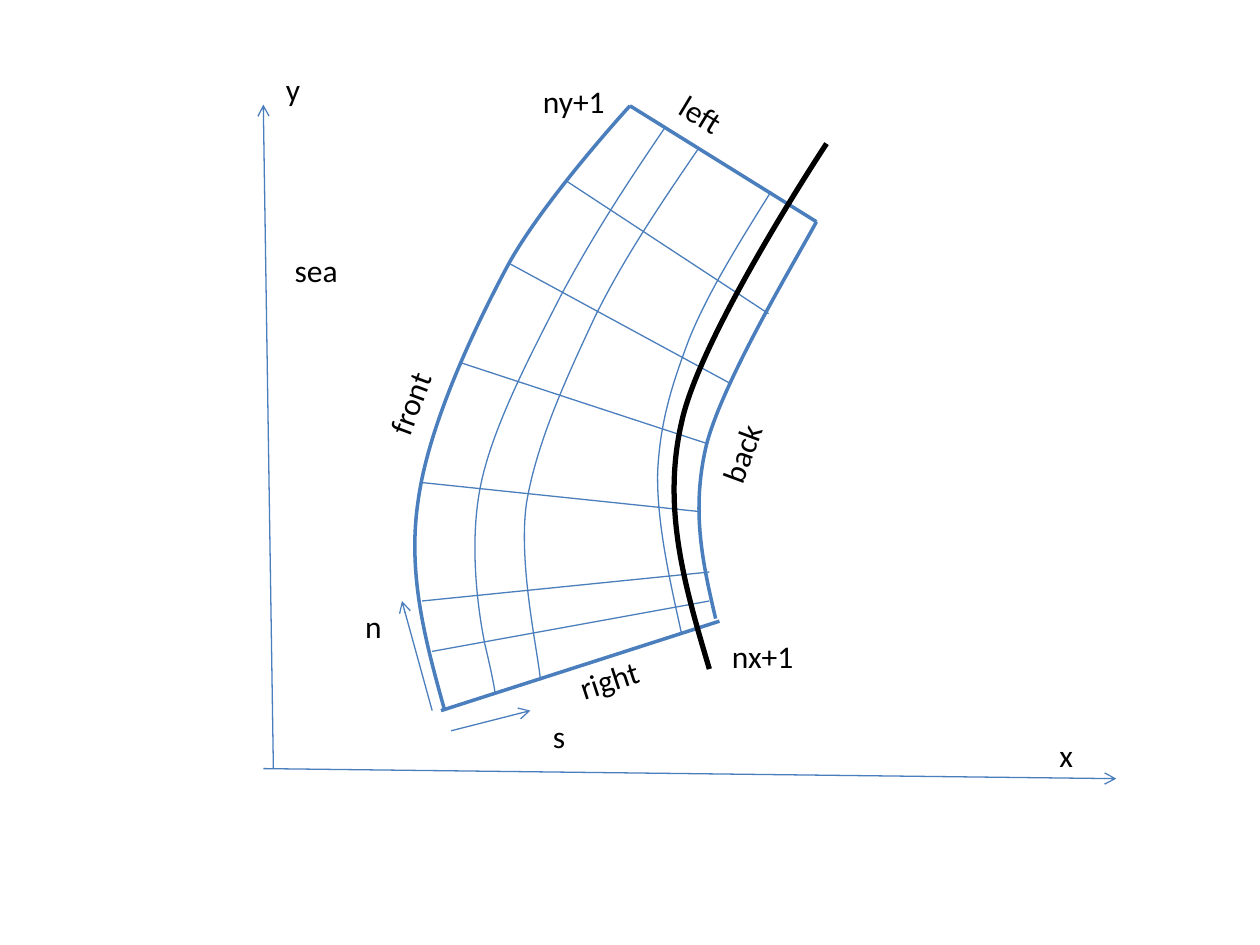
from lxml import etree
from pptx import Presentation
from pptx.dml.color import RGBColor
from pptx.enum.shapes import MSO_CONNECTOR
from pptx.enum.text import MSO_AUTO_SIZE
from pptx.oxml.ns import qn
from pptx.util import Inches, Pt

BLUE = RGBColor(0x4B, 0x7E, 0xBC)
BLACK = RGBColor(0, 0, 0)
THIN, EDGE, COAST = 0.75, 2, 3

prs = Presentation()
prs.slide_width, prs.slide_height = Inches(10), Inches(7.5)
slide = prs.slides.add_slide(prs.slide_layouts[6])
shapes = slide.shapes.add_group_shape().shapes


def add_line(start, end, width, arrow=False):
    x1, y1, x2, y2 = [Inches(v) for v in start + end]
    line = shapes.add_connector(MSO_CONNECTOR.STRAIGHT, x1, y1, x2, y2)
    line.line.color.rgb = BLUE
    line.line.width = Pt(width)
    if arrow:
        etree.SubElement(line.line._get_or_add_ln(), qn("a:tailEnd"), type="arrow")
    etree.SubElement(line._element.spPr, qn("a:effectLst"))


def add_curve(points, color, width):
    """Draw a Bezier curve: a start, then two controls and an end per segment."""
    pts = [(Inches(x), Inches(y)) for x, y in points]
    builder = shapes.build_freeform(*pts[0])
    builder.add_line_segments(pts[1:], close=False)
    sp = builder.convert_to_shape()
    sp.fill.background()
    sp.line.color.rgb = color
    sp.line.width = Pt(width)
    sp.shadow.inherit = False
    # Merge every three straight steps into one cubic segment
    steps = list(sp._element.iter(qn("a:lnTo")))
    for i in range(0, len(steps), 3):
        cubic = etree.Element(qn("a:cubicBezTo"))
        steps[i].addprevious(cubic)
        for step in steps[i:i + 3]:
            cubic.append(step[0])
            step.getparent().remove(step)


# Grid lines across the shore, with the right and left edges
for start, end, width in [
    ((3.5, 5.64), (5.71, 4.93), EDGE),
    ((3.43, 5.17), (5.63, 4.77), THIN),
    ((3.35, 4.77), (5.63, 4.54), THIN),
    ((3.35, 3.83), (5.55, 4.06), THIN),
    ((3.66, 2.88), (5.61, 3.52), THIN),
    ((4.04, 2.09), (5.79, 3.04), THIN),
    ((4.5, 1.44), (6.1, 2.49), THIN),
    ((5, 0.84), (6.48, 1.76), EDGE),
]:
    add_line(start, end, width)

# Grid lines along the shore, from front to back, and the coastline
front = [(3.53, 5.64), (3.38, 5.1), (3.23, 4.56), (3.32, 3.97),
         (3.4, 3.38), (3.76, 2.61), (4.04, 2.09),
         (4.33, 1.57), (5, 0.84), (5, 0.84)]
inner_1 = [(3.93, 5.51), (3.93, 5.5), (3.92, 5.41), (3.85, 5.12),
           (3.79, 4.83), (3.72, 4.29), (3.82, 3.83),
           (3.92, 3.37), (4.21, 2.82), (4.45, 2.35),
           (4.7, 1.88), (4.98, 1.45), (5.28, 1.01)]
inner_2 = [(4.29, 5.4), (4.27, 5.17), (4.11, 4.47), (4.18, 3.99),
           (4.26, 3.51), (4.5, 2.99), (4.72, 2.52),
           (4.95, 2.05), (5.25, 1.61), (5.55, 1.17)]
inner_3 = [(5.41, 5.03), (5.31, 4.58), (5.21, 4.13), (5.22, 3.74),
           (5.24, 3.35), (5.33, 3.06), (5.47, 2.69),
           (5.62, 2.32), (5.87, 1.92), (6.12, 1.52)]
back = [(5.68, 4.91), (5.58, 4.48), (5.48, 4.05), (5.61, 3.52),
        (5.75, 3), (6.33, 2.04), (6.48, 1.76)]
coastline = [(5.63, 5.31), (5.44, 4.67), (5.25, 4.04), (5.41, 3.35),
             (5.56, 2.65), (6.56, 1.14), (6.56, 1.14)]
for points, color, width in [
    (front, BLUE, EDGE),
    (back, BLUE, EDGE),
    (inner_1, BLUE, THIN),
    (inner_2, BLUE, THIN),
    (coastline, BLACK, COAST),
    (inner_3, BLUE, THIN),
]:
    add_curve(points, color, width)

# Axes x and y, and grid directions s and n
for start, end in [
    ((2.09, 6.1), (8.86, 6.18)),
    ((2.17, 6.1), (2.09, 0.83)),
    ((3.58, 5.8), (4.21, 5.64)),
    ((3.43, 5.64), (3.19, 4.77)),
]:
    add_line(start, end, THIN, arrow=True)

# Labels: text, left, top, width, rotation
for label, left, top, width, rotation in [
    ("x", 8.31, 5.79, 0.55, 0),
    ("y", 2.17, 0.51, 0.24, 0),
    ("s", 4.29, 5.64, 0.39, 0),
    ("n", 2.8, 4.77, 0.31, 0),
    ("nx+1", 5.71, 5.01, 0.79, 0),
    ("ny+1", 4.21, 0.6, 0.79, 0),
    ("sea", 2.24, 1.94, 0.71, 0),
    ("front", 2.87, 2.96, 0.79, 290.5),
    ("right", 4.49, 5.15, 0.94, 341.9),
    ("left", 5.27, 0.81, 0.94, 31.1),
    ("back", 5.46, 3.27, 0.94, 290.3),
]:
    sp = shapes.add_textbox(Inches(left), Inches(top), Inches(width), Inches(0.4))
    sp.rotation = rotation
    tf = sp.text_frame
    tf.word_wrap = True
    tf.auto_size = MSO_AUTO_SIZE.SHAPE_TO_FIT_TEXT
    p = tf.paragraphs[0]
    p.text = label
    p.font.name = "Calibri"
    p.font.size = Pt(18)
    p.font.color.rgb = BLACK

prs.save("out.pptx")
